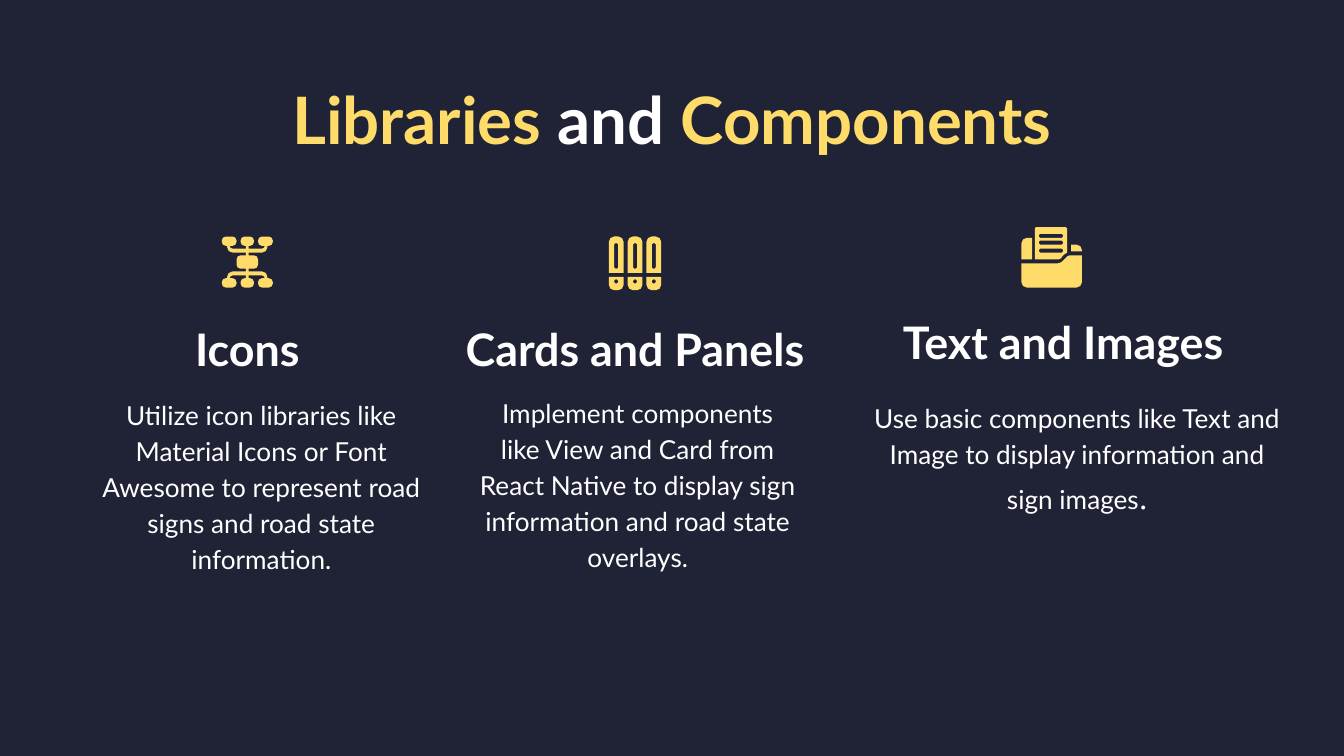
from lxml.etree import SubElement
from pptx import Presentation
from pptx.dml.color import RGBColor
from pptx.enum.text import MSO_ANCHOR, PP_ALIGN
from pptx.oxml.ns import qn
from pptx.util import Pt

NAVY = RGBColor(0x20, 0x23, 0x36)
YELLOW = RGBColor(0xFF, 0xDB, 0x6A)
WHITE = RGBColor(0xFF, 0xFF, 0xFF)
PX = 9144
CURVE = 0.45


def box(left, top, right, bottom, tl=0, tr=0, br=0, bl=0):
    return [(left, top, tl), (right, top, tr), (right, bottom, br), (left, bottom, bl)]


def toward(start, target, distance):
    dx, dy = target[0] - start[0], target[1] - start[1]
    share = distance / max((dx * dx + dy * dy) ** 0.5, 1)
    return start[0] + dx * share, start[1] + dy * share


def rounded(corners):
    points, curve_starts = [], []
    for i, (x, y, radius) in enumerate(corners):
        before, after = corners[i - 1], corners[(i + 1) % len(corners)]
        if radius:
            curve_starts.append(len(points) + 1)
            points += [toward((x, y), before, radius),
                       toward((x, y), before, radius * CURVE),
                       toward((x, y), after, radius * CURVE),
                       toward((x, y), after, radius)]
        else:
            points.append((x, y))
    return [(x * PX, y * PX) for x, y in points], curve_starts


class SlideWriter:
    """Holds the style and the current slide, and adds each kind of element."""

    font = "Lato"
    icon_color = YELLOW

    def __init__(self, slide):
        self.slide = slide
        slide.background.fill.solid()
        slide.background.fill.fore_color.rgb = NAVY

    def text(self, place, runs, size, bold=False, anchor=MSO_ANCHOR.TOP,
             inset=10, **spacing):
        frame = self.slide.shapes.add_textbox(*(v * PX for v in place)).text_frame
        layout = {"word_wrap": True, "vertical_anchor": anchor,
                  "margin_top": inset * PX, "margin_bottom": inset * PX,
                  "margin_left": 10 * PX, "margin_right": 10 * PX}
        for name, value in layout.items():
            setattr(frame, name, value)
        paragraph = frame.paragraphs[0]
        for name, value in {"alignment": PP_ALIGN.CENTER, **spacing}.items():
            setattr(paragraph, name, value)
        for words, color, changes in runs:
            run = paragraph.add_run()
            run.text = words
            style = {"name": self.font, "size": Pt(size), "bold": bold, **changes}
            for name, value in style.items():
                setattr(run.font, name, value)
            run.font.color.rgb = color

    def heading(self, place, words):
        self.text(place, [(words, WHITE, {})], 24, True, MSO_ANCHOR.BOTTOM,
                  line_spacing=1.15)

    def body(self, place, words, *more_runs, inset=10):
        self.text(place, [(words, WHITE, {}), *more_runs], 14, inset=inset,
                  line_spacing=1.15, space_after=Pt(8))

    def icon_part(self, *contours):
        outlines = [rounded(contour) for contour in contours]
        builder = self.slide.shapes.build_freeform(*outlines[0][0][0], scale=1.0)
        curve_starts, offset = [], 0
        for points, starts in outlines:
            if offset:
                builder.move_to(*points[0])
            builder.add_line_segments(points[1:])
            curve_starts += [offset + start for start in starts]
            offset += len(points) + 1
        part = builder.convert_to_shape()
        self.bend(part, curve_starts)
        part.shadow.inherit = False
        part.fill.solid()
        part.fill.fore_color.rgb = self.icon_color
        part.line.fill.background()

    def bend(self, part, curve_starts):
        outline = next(part.element.iter(qn("a:path")))
        segments = list(outline)
        for start in curve_starts:
            curve = SubElement(outline, qn("a:cubicBezTo"))
            segments[start].addprevious(curve)
            for segment in segments[start:start + 3]:
                curve.append(segment[0])
                outline.remove(segment)


def draw_network(writer, center_x, center_y):
    quarter = [(5, -19, 3), (5, -12, 3), (1, -12, 0), (1, -10, 0), (13, -10, 2),
               (13, -12, 0), (8, -12, 3), (8, -19, 3), (19, -19, 3), (19, -12, 3),
               (15, -12, 0), (15, -7, 4), (1, -7, 0), (1, -5, 0), (8, -5, 3)]
    half = quarter + [(x, -y, r) for x, y, r in reversed(quarter)]
    outline = half + [(-x, y, r) for x, y, r in reversed(half)]
    writer.icon_part([(center_x + x, center_y + y, r) for x, y, r in outline])


def draw_binders(writer, left, top):
    for x in range(left, left + 3 * 14, 14):
        writer.icon_part(box(x, top + 30, x + 11, top + 40, br=4, bl=4),
                         box(x + 4, top + 32, x + 7, top + 35, 1, 1, 1, 1))
        writer.icon_part(box(x, top, x + 11, top + 27, tl=4, tr=4),
                         box(x + 4, top + 5, x + 7, top + 24, 1, 1, 1, 1))


def draw_folder(writer):
    page = [(770, 169, 1), (794, 169, 1), (794, 188, 0), (791, 190, 1),
            (789, 193, 1), (770, 193, 0)]
    lines = [box(773, y, 791, y + 3, 1, 1, 1, 1) for y in (174, 179, 185)]
    front = [(795, 190, 1), (805, 190, 0), (805, 214, 4), (760, 214, 4),
             (760, 196, 0), (789, 196, 2), (792, 193, 1)]
    writer.icon_part(box(797, 182, 805, 187, tr=4))
    writer.icon_part(page, *lines)
    writer.icon_part(box(760, 177, 768, 193, tl=4))
    writer.icon_part(front)


def main():
    deck = Presentation()
    deck.slide_width = 1000 * PX
    deck.slide_height = deck.slide_width * 9 // 16
    writer = SlideWriter(deck.slides.add_slide(deck.slide_layouts[6]))

    writer.text((79, 49, 842, 63), [("Libraries ", YELLOW, {}), ("and", WHITE, {}),
                                    (" Components", YELLOW, {})], 35, True)
    writer.body((347, 282, 255, 232),
                "Implement components like View and Card from React Native to "
                "display sign information and road state overlays.")
    writer.body((638, 286, 327, 193),
                "Use basic components like Text and Image to display information "
                "and sign images",
                (".", WHITE, {"name": "Times New Roman", "size": Pt(18)}))
    writer.heading((79, 217, 210, 72), "Icons")
    writer.heading((318, 217, 309, 72), "Cards and Panels")
    writer.heading((655, 210, 272, 74), "Text and Images")
    draw_network(writer, 184, 195)
    draw_binders(writer, 453, 176)
    draw_folder(writer)
    writer.body((56, 289, 277, 144),
                "Utilize icon libraries like Material Icons or Font Awesome to "
                "represent road signs and road state information.", inset=5)
    deck.save("out.pptx")


if __name__ == "__main__":
    main()
